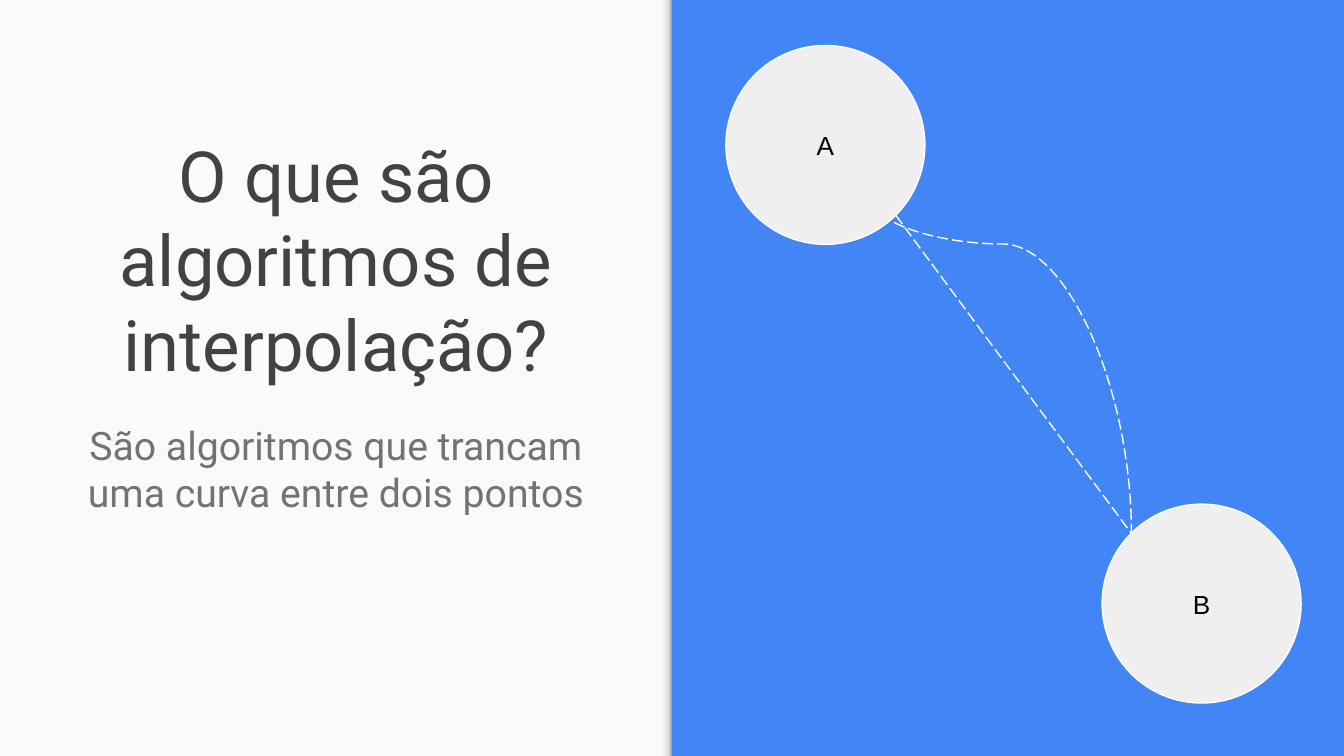
"""Build a split slide: a question on the left, two points and the paths between them on the right."""
import math
from dataclasses import dataclass

import lxml.etree
import pptx
import pptx.dml.color
import pptx.enum.dml
import pptx.enum.shapes
import pptx.enum.text
import pptx.oxml
import pptx.oxml.ns
import pptx.util

Cm = pptx.util.Cm
Pt = pptx.util.Pt
RGB = pptx.dml.color.RGBColor.from_string
qn = pptx.oxml.ns.qn
Anchor = pptx.enum.text.MSO_ANCHOR
Preset = pptx.enum.shapes.MSO_SHAPE
ConnectorKind = pptx.enum.shapes.MSO_CONNECTOR


@dataclass(frozen=True)
class Theme:
    background: str = "4285F4"
    panel: str = "FAFAFA"
    title: str = "424242"
    subtitle: str = "737373"
    node: str = "EFEFEF"
    label: str = "000000"
    outline: str = "FFFFFF"
    edge_stops: tuple = ((0, "F9F9F9"), (36, "F9F9F9"), (80, "DEDEDE"), (100, "999999"))
    heading_font: str = "Roboto"
    label_font: str = "Arial"
    title_size: float = 37.8
    subtitle_size: float = 21
    label_size: float = 14
    line_width: float = 0.75
    inset: float = 0.25


@dataclass(frozen=True)
class Node:
    label: str
    x: float
    y: float
    radius: float = 1.88

    def rim(self, degrees: float) -> tuple[float, float]:
        """Return the point on the circle at a clockwise angle from the right."""
        angle = math.radians(degrees)
        return self.x + self.radius * math.cos(angle), self.y + self.radius * math.sin(angle)


@dataclass(frozen=True)
class Caption:
    text: str
    top: float
    height: float
    size: float
    color: str
    anchor: Anchor


THEME = Theme()
WIDTH, HEIGHT = 25.4, 14.29
EDGE = 0.3
CAPTION_LEFT, CAPTION_WIDTH = 0.74, 11.22
CAPTIONS = (
    Caption("O que são algoritmos de interpolação?", 3.43, 4.11,
            THEME.title_size, THEME.title, Anchor.BOTTOM),
    Caption("São algoritmos que trancam uma curva entre dois pontos", 7.72, 3.43,
            THEME.subtitle_size, THEME.subtitle, Anchor.TOP),
)
POINT_A = Node("A", 15.6, 2.74)
POINT_B = Node("B", 22.71, 11.41)
CURVE_START = (16.52, 3.81)
CURVE_BEND = 12800


def write_text(frame, text: str, font_name: str, size: float, color: str, anchor: Anchor) -> None:
    """Fill a text frame with one centred paragraph."""
    frame.word_wrap = True
    frame.vertical_anchor = anchor
    frame.margin_left = frame.margin_right = Cm(THEME.inset)
    frame.margin_top = frame.margin_bottom = Cm(THEME.inset)
    paragraph = frame.paragraphs[0]
    paragraph.text = text
    paragraph.alignment = pptx.enum.text.PP_ALIGN.CENTER
    paragraph.font.name = font_name
    paragraph.font.size = Pt(size)
    paragraph.font.color.rgb = RGB(color)


def draw_panel(slide) -> None:
    """Draw the light left half and its shaded right edge."""
    panel = slide.shapes.add_shape(Preset.RECTANGLE, 0, 0, Cm(WIDTH / 2), Cm(HEIGHT))
    panel.fill.solid()
    panel.fill.fore_color.rgb = RGB(THEME.panel)
    edge = slide.shapes.add_shape(
        Preset.RECTANGLE, Cm((WIDTH - EDGE - HEIGHT) / 2), Cm((HEIGHT - EDGE) / 2),
        Cm(HEIGHT), Cm(EDGE))
    edge.rotation = 90
    edge.fill.gradient()
    gradient = edge.fill._xPr.find(qn("a:gradFill"))
    stops = gradient.find(qn("a:gsLst"))
    for stop in list(stops):
        stops.remove(stop)
    for position, color in THEME.edge_stops:
        stop = lxml.etree.SubElement(stops, qn("a:gs"), pos=str(position * 1000))
        lxml.etree.SubElement(stop, qn("a:srgbClr"), val=color)
    gradient.find(qn("a:lin")).set("ang", "16200000")
    for part in (panel, edge):
        part.line.fill.background()
        part.shadow.inherit = False


def draw_caption(slide, caption: Caption) -> None:
    """Draw one block of text on the left half."""
    box = slide.shapes.add_textbox(
        Cm(CAPTION_LEFT), Cm(caption.top), Cm(CAPTION_WIDTH), Cm(caption.height))
    write_text(box.text_frame, caption.text, THEME.heading_font,
               caption.size, caption.color, caption.anchor)


def draw_node(slide, node: Node) -> None:
    """Draw a labelled circle."""
    circle = slide.shapes.add_shape(
        Preset.OVAL, Cm(node.x - node.radius), Cm(node.y - node.radius),
        Cm(2 * node.radius), Cm(2 * node.radius))
    circle.shadow.inherit = False
    circle.fill.solid()
    circle.fill.fore_color.rgb = RGB(THEME.node)
    circle.line.color.rgb = RGB(THEME.outline)
    circle.line.width = Pt(THEME.line_width)
    write_text(circle.text_frame, node.label, THEME.label_font,
               THEME.label_size, THEME.label, Anchor.MIDDLE)


def draw_path(slide, kind: ConnectorKind, start: tuple[float, float], end: tuple[float, float]):
    """Draw a dashed connector and return it."""
    path = slide.shapes.add_connector(kind, *(Cm(value) for value in (*start, *end)))
    path.line.color.rgb = RGB(THEME.outline)
    path.line.width = Pt(THEME.line_width)
    path.line.dash_style = pptx.enum.dml.MSO_LINE.LONG_DASH
    lxml.etree.SubElement(path._element.spPr, qn("a:effectLst"))
    return path


def draw_curve(slide, start: tuple[float, float], end: tuple[float, float]) -> None:
    """Draw a dashed curve that leaves and arrives vertically."""
    across, down = end[0] - start[0], end[1] - start[1]
    middle_x, middle_y = (start[0] + end[0]) / 2, (start[1] + end[1]) / 2
    curve = draw_path(
        slide, ConnectorKind.CURVE,
        (middle_x - down / 2, middle_y - across / 2),
        (middle_x + down / 2, middle_y + across / 2))
    properties = curve._element.spPr
    frame = properties.find(qn("a:xfrm"))
    frame.set("rot", "16200000")
    frame.set("flipH", "1")
    adjustments = properties.find(qn("a:prstGeom")).find(qn("a:avLst"))
    lxml.etree.SubElement(adjustments, qn("a:gd"), name="adj1", fmla=f"val {CURVE_BEND}")


def main() -> None:
    """Build and save the slide."""
    presentation = pptx.Presentation()
    presentation.slide_width, presentation.slide_height = Cm(WIDTH), Cm(HEIGHT)
    slide = presentation.slides.add_slide(presentation.slide_layouts[6])
    slide.background.fill.solid()
    slide.background.fill.fore_color.rgb = RGB(THEME.background)
    draw_panel(slide)
    for caption in CAPTIONS:
        draw_caption(slide, caption)
    arrival = POINT_B.rim(225)
    draw_node(slide, POINT_B)
    draw_path(slide, ConnectorKind.STRAIGHT, POINT_A.rim(45), arrival)
    draw_curve(slide, CURVE_START, arrival)
    draw_node(slide, POINT_A)
    presentation.save("out.pptx")


if __name__ == "__main__":
    main()
